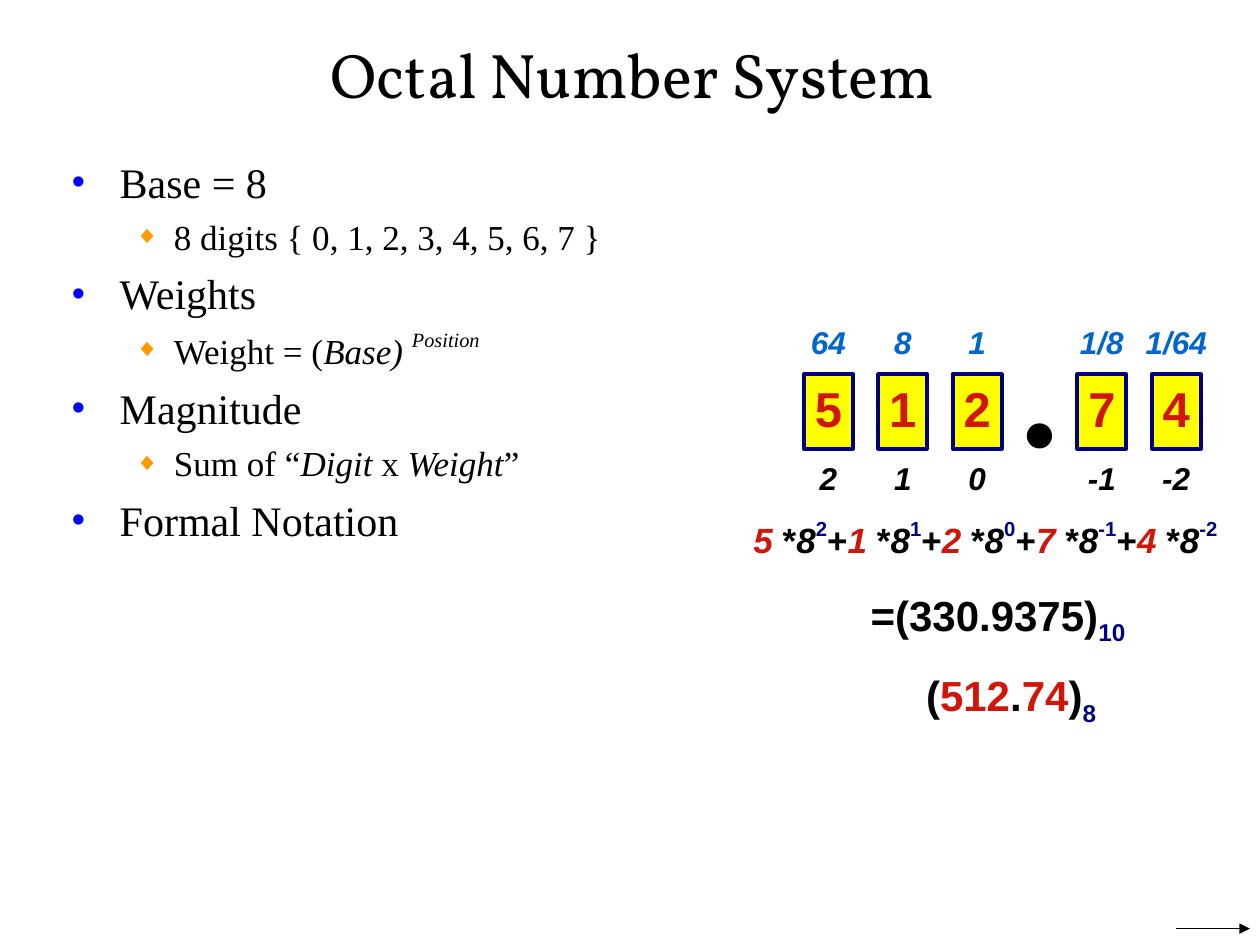
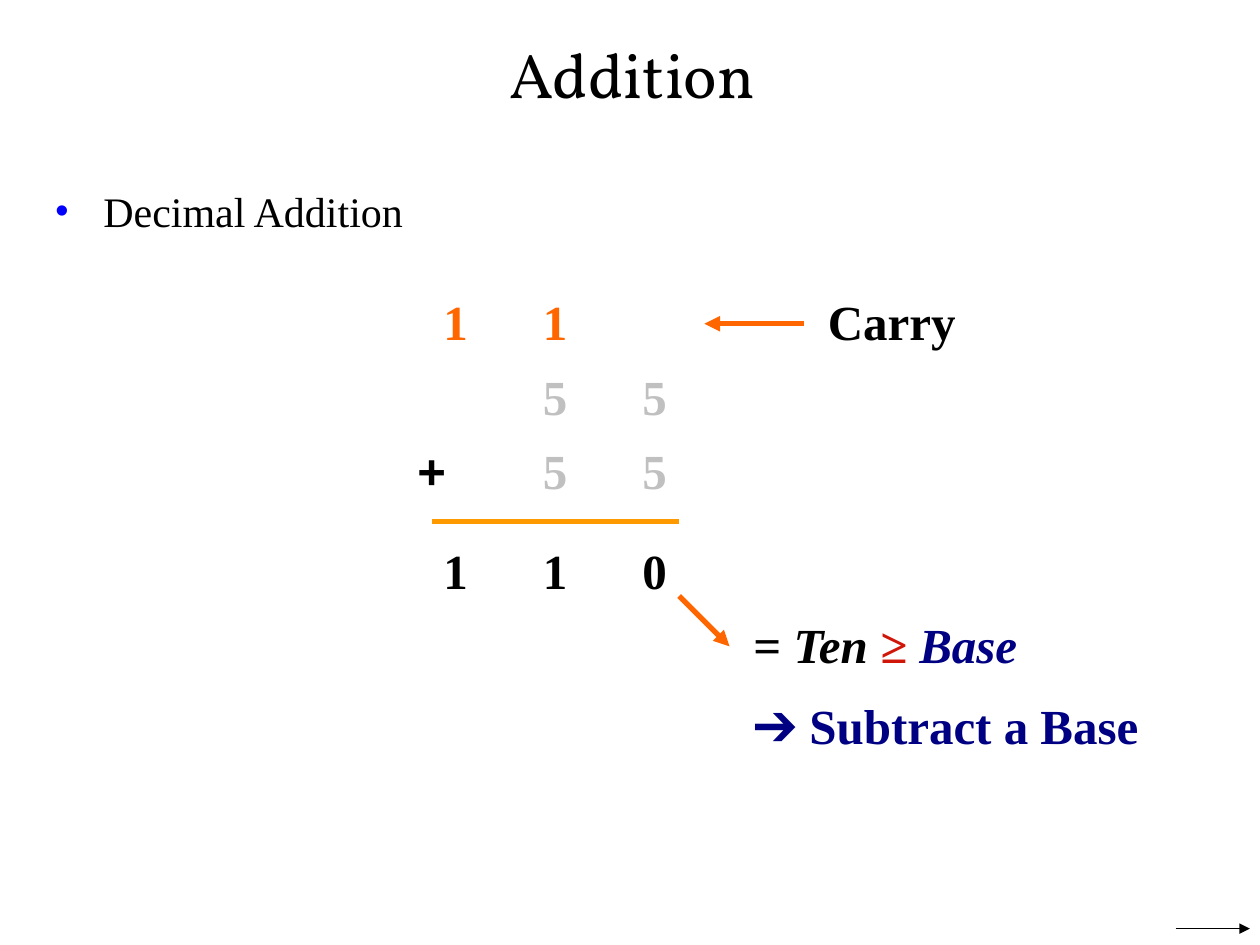
from lxml import etree
from pptx import Presentation
from pptx.dml.color import RGBColor
from pptx.enum.shapes import MSO_CONNECTOR as Connector, MSO_SHAPE as Preset
from pptx.enum.text import MSO_ANCHOR as Anchor, MSO_AUTO_SIZE as AutoSize, PP_ALIGN as Align
from pptx.oxml.ns import qn
from pptx.util import Inches, Pt

# Shared look
SERIF, SANS, TITLE_FONT = "Times New Roman", "Arial", "Vollkorn"
BLACK, NAVY, RED, BLUE = "000000", "000082", "D01608", "0066CC"
YELLOW, ORANGE, CARRY_ORANGE, GRAY = "FFFF00", "FF9900", "FF6600", "C0C0C0"

# Per level: bullet, colour, bullet size %, left margin, hang, text size, space before
LEVELS = [("•", "0000FF", 90, 0.38, 0.38, 24, 6),
          ("◆", ORANGE, 70, 0.81, 0.31, 20, 5)]

ITALIC = {"italic": True}
SUPER = {"color": NAVY, "italic": False, "baseline": 50}
SUB = {"color": NAVY, "baseline": -25}


def rgb(value):
    return RGBColor.from_string(value)


def write_runs(paragraph, pieces, font, size, color=BLACK, bold=False, italic=False):
    """Each piece is a string or a (string, changes) pair."""
    for piece in pieces:
        text, changes = (piece, {}) if isinstance(piece, str) else piece
        style = {"color": color, "italic": italic, "baseline": 0, **changes}
        run = paragraph.add_run()
        run.text = text
        run.font.name, run.font.size = font, Pt(size)
        run.font.bold, run.font.italic = bold, style["italic"]
        run.font.color.rgb = rgb(style["color"])
        if style["baseline"]:
            run._r.get_or_add_rPr().set("baseline", str(style["baseline"] * 1000))


def set_frame(frame, anchor=Anchor.TOP, inset_x=0, inset_y=0):
    frame.word_wrap = True
    frame.auto_size = AutoSize.NONE
    frame.vertical_anchor = anchor
    frame.margin_left = frame.margin_right = Inches(inset_x)
    frame.margin_top = frame.margin_bottom = Inches(inset_y)


def place(shape, left, top, width, height):
    shape.left, shape.top = Inches(left), Inches(top)
    shape.width, shape.height = Inches(width), Inches(height)


def add_line(slide, start, end, color, weight, arrow=True):
    line = slide.shapes.add_connector(Connector.STRAIGHT, *map(Inches, start + end))
    line.line.color.rgb = rgb(color)
    line.line.width = Pt(weight)
    if arrow:
        etree.SubElement(line.line._get_or_add_ln(), qn("a:tailEnd"), type="triangle")
    etree.SubElement(line._element.spPr, qn("a:effectLst"))


def add_label(slide, left, top, width, height, lines, font, size, align=Align.CENTER, **style):
    frame = slide.shapes.add_textbox(*map(Inches, (left, top, width, height))).text_frame
    set_frame(frame)
    for i, pieces in enumerate(lines):
        paragraph = frame.add_paragraph() if i else frame.paragraphs[0]
        paragraph.alignment = align
        paragraph.line_spacing = 0.9
        if i:
            paragraph.space_before = Pt(16)
        write_runs(paragraph, pieces, font, size, bold=True, **style)
    return frame


def add_shape(slide, preset, left, top, width, height, fill, outline=None):
    shape = slide.shapes.add_shape(preset, *map(Inches, (left, top, width, height)))
    shape.shadow.inherit = False
    shape.fill.solid()
    shape.fill.fore_color.rgb = rgb(fill)
    if outline:
        shape.line.color.rgb = rgb(outline)
        shape.line.width = Pt(2.25)
    else:
        shape.line.fill.background()
    return shape


def fill_list(body, items):
    frame = body.text_frame
    set_frame(frame, inset_x=0.1, inset_y=0.05)
    for i, (level, pieces) in enumerate(items):
        mark, color, percent, margin, hang, size, before = LEVELS[level]
        paragraph = frame.add_paragraph() if i else frame.paragraphs[0]
        paragraph.level = level
        paragraph.alignment = Align.LEFT
        paragraph.space_before = Pt(before if i else 0)
        props = paragraph._p.get_or_add_pPr()
        props.set("marL", str(Inches(margin)))
        props.set("indent", str(-Inches(hang)))
        bullet_color = etree.SubElement(props, qn("a:buClr"))
        etree.SubElement(bullet_color, qn("a:srgbClr"), val=color)
        etree.SubElement(props, qn("a:buSzPct"), val=str(percent * 1000))
        etree.SubElement(props, qn("a:buChar"), char=mark)
        write_runs(paragraph, pieces, SERIF, size)


def start_slide(deck, heading, body_box, items):
    slide = deck.slides.add_slide(deck.slide_layouts[1])
    title, body = slide.shapes.title, slide.placeholders[1]
    place(title, 0.33, 0.25, 9.38, 0.67)
    set_frame(title.text_frame, Anchor.MIDDLE)
    paragraph = title.text_frame.paragraphs[0]
    paragraph.alignment = Align.CENTER
    write_runs(paragraph, [heading], TITLE_FONT, 36)
    place(body, *body_box)
    fill_list(body, items)
    # Corner arrow found on every slide
    add_line(slide, (9.33, 7.37), (9.92, 7.37), BLACK, 0.75)
    return slide


def octal_slide(deck):
    slide = start_slide(deck, "Octal Number System", (0.47, 1.19, 9.06, 4.42), [
        (0, ["Base = 8"]),
        (1, ["8 digits { 0, 1, 2, 3, 4, 5, 6, 7 }"]),
        (0, ["Weights"]),
        (1, ["Weight = (", ("Base) ", ITALIC), ("Position", {"italic": True, "baseline": 50})]),
        (0, ["Magnitude"]),
        (1, ["Sum of “", ("Digit", ITALIC), " x ", ("Weight", ITALIC), "”"]),
        (0, ["Formal Notation"]),
    ])

    # Digit boxes with weights above and positions below
    columns = [("5", "64", "2"), ("1", "8", "1"), ("2", "1", "0"),
               ("7", "1/8", "-1"), ("4", "1/64", "-2")]
    expansion = []
    for i, (digit, weight, position) in enumerate(columns):
        left = 6.38 + 0.59 * i + (0.4 if i > 2 else 0)
        box = add_shape(slide, Preset.RECTANGLE, left, 2.97, 0.39, 0.59, YELLOW, NAVY)
        set_frame(box.text_frame, Anchor.MIDDLE)
        paragraph = box.text_frame.paragraphs[0]
        paragraph.alignment = Align.CENTER
        paragraph.line_spacing = 0.9
        write_runs(paragraph, [digit], SANS, 28, RED, bold=True)
        for text, top, color in ((weight, 2.6, BLUE), (position, 3.68, BLACK)):
            add_label(slide, left - 0.1, top, 0.59, 0.27, [[text]], SANS, 18,
                      color=color, italic=True)
        expansion += ["+"] if i else []
        expansion += [(digit + " ", {"color": RED, "italic": True}), "*",
                      ("8", ITALIC), (position, SUPER)]
    add_shape(slide, Preset.OVAL, 8.15, 3.36, 0.2, 0.2, BLACK)

    # Expansion, decimal value and formal notation
    value = ["=(330.9375)", ("10", SUB)]
    sums = add_label(slide, 5.98, 4.14, 3.74, 0.86, [expansion], SANS, 20, Align.LEFT)
    result = sums.add_paragraph()
    result.line_spacing = 0.9
    result.space_before = Pt(16)
    result._p.get_or_add_pPr().set("marL", str(Inches(0.93)))
    write_runs(result, value, SANS, 24, bold=True)
    notation = ["(", ("512", {"color": RED}), ".", ("74", {"color": RED}), ")", ("8", SUB)]
    add_label(slide, 7.35, 5.32, 1.97, 0.36, [notation], SANS, 24, Align.LEFT)


def addition_slide(deck):
    slide = start_slide(deck, "Addition", (0.34, 1.42, 9.37, 0.87),
                        [(0, ["Decimal Addition"])])

    # Column sum: carries, addends, total
    rows = [(2.37, "11 ", CARRY_ORANGE), (2.96, " 55", GRAY),
            (3.55, " 55", GRAY), (4.34, "110", BLACK)]
    for top, digits, color in rows:
        for column, digit in enumerate(digits):
            if digit != " ":
                add_label(slide, 3.42 + 0.79 * column, top, 0.39, 0.42, [[digit]],
                          SERIF, 28, color=color)
    add_label(slide, 3.23, 3.55, 0.39, 0.42, [["+"]], SANS, 28)
    add_line(slide, (5.39, 4.14), (3.43, 4.14), ORANGE, 3, arrow=False)

    # Explanations
    add_line(slide, (6.38, 2.57), (5.59, 2.57), CARRY_ORANGE, 3)
    add_label(slide, 6.57, 2.37, 1.38, 0.42, [["Carry"]], SERIF, 28, Align.LEFT)
    add_line(slide, (5.39, 4.73), (5.79, 5.13), CARRY_ORANGE, 3)
    comparison = ["= ", ("Ten ", ITALIC), ("≥ ", {"color": RED, "italic": True}),
                  ("Base", {"color": NAVY, "italic": True})]
    action = [("➔ Subtract a Base", {"color": NAVY})]
    add_label(slide, 5.98, 4.93, 3.15, 1.07, [comparison, action], SERIF, 28, Align.LEFT)


def main():
    deck = Presentation()
    deck.slide_width, deck.slide_height = Inches(10), Inches(7.5)
    octal_slide(deck)
    addition_slide(deck)
    deck.save("out.pptx")


if __name__ == "__main__":
    main()
